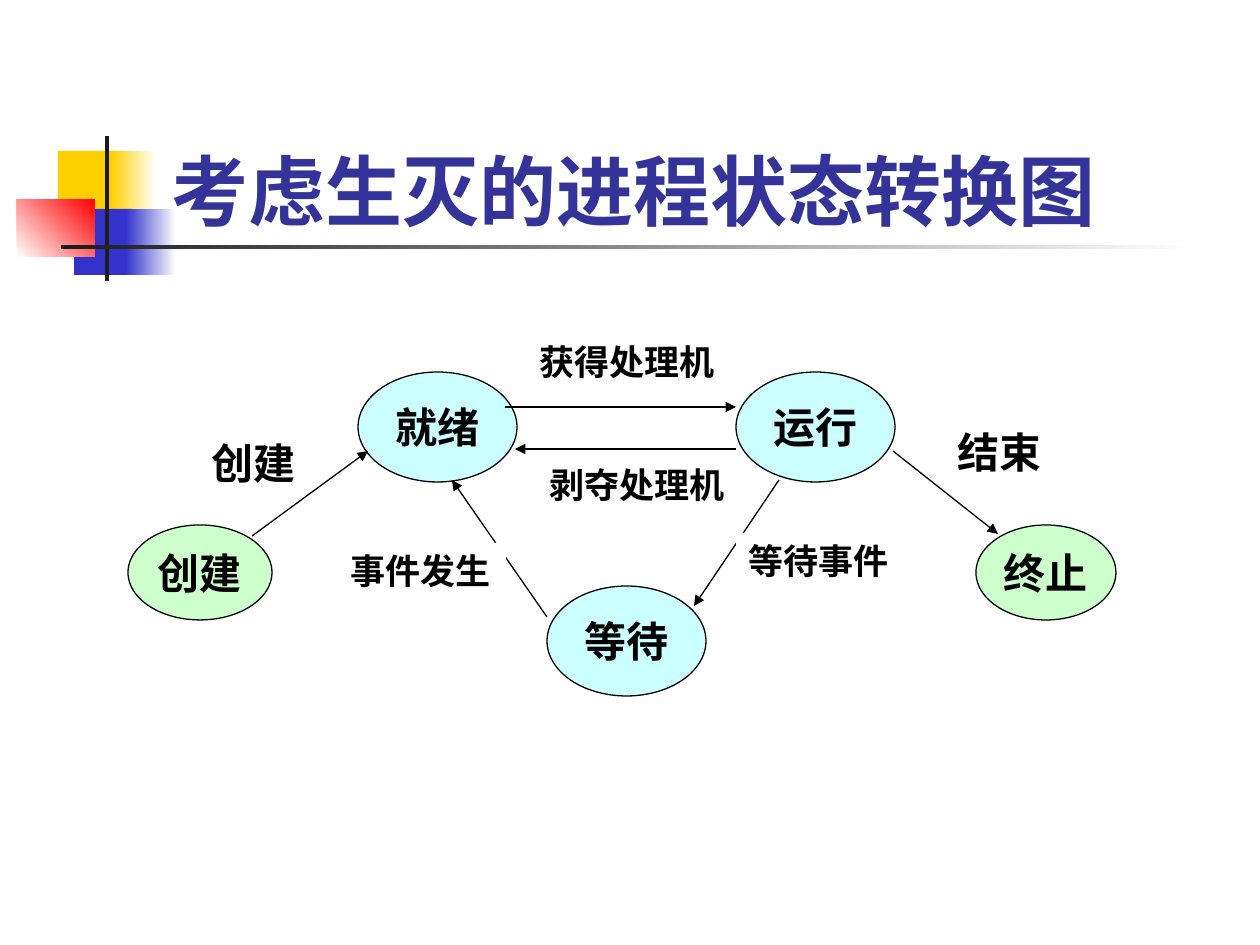
from pptx import Presentation
from pptx import util as u
from pptx.dml.color import RGBColor
from pptx.enum import shapes, text
from pptx.oxml.ns import qn
from lxml import etree

PX = u.Inches(1) / 126
WHITE = RGBColor(0xFF, 0xFF, 0xFF)
BLACK = RGBColor(0, 0, 0)
YELLOW = RGBColor(0xFF, 0xCF, 0x01)
BLUE = RGBColor(0x33, 0x33, 0xCC)
RED = RGBColor(0xFF, 0, 0)
CHARCOAL = RGBColor(0x1C, 0x1C, 0x1C)
NAVY = RGBColor(0x33, 0x33, 0x99)
CYAN = RGBColor(0xCC, 0xFF, 0xFF)
GREEN = RGBColor(0xCC, 0xFF, 0xCC)

# name, x, y, width, height, fill
STATES = [
    ("就绪", 230, 38, 159, 110, CYAN),
    ("等待", 419, 252, 159, 110, CYAN),
    ("运行", 608, 38, 159, 110, CYAN),
    ("创建", 0, 191, 144, 95, GREEN),
    ("终止", 848, 191, 140, 95, GREEN),
]
# start x, start y, end x, end y
TRANSITIONS = [
    (377, 73, 608, 73),
    (651, 146, 566, 272),
    (419, 283, 324, 146),
    (608, 115, 387, 115),
    (124, 202, 240, 117),
    (765, 117, 870, 200),
]
# label, x, y, width, height, size, fill
LABELS = [
    ("获得处理机", 399, 0, 210, 55, 20, WHITE),
    ("剥夺处理机", 409, 123, 210, 55, 20, WHITE),
    ("等待事件", 608, 199, 168, 55, 20, WHITE),
    ("事件发生", 210, 209, 168, 55, 20, WHITE),
    ("创建", 71, 97, 126, 63, 24, None),
    ("结束", 817, 86, 158, 63, 24, None),
]


def emu(*lengths):
    return [u.Emu(round(n * PX)) for n in lengths]


def write(tf, words, size, color=BLACK, font="Times New Roman"):
    p = tf.paragraphs[0]
    p.text = words
    p.font.name, p.font.size, p.font.bold = font, u.Pt(size), True
    p.font.color.rgb = color
    return p


def add_block(s, x, y, w, h, *colors, angle=0):
    """Borderless rectangle, solid for one colour and graded for two."""
    sp = s.shapes.add_shape(shapes.MSO_SHAPE.RECTANGLE, *emu(x, y, w, h))
    sp.shadow.inherit = False
    sp.line.fill.background()
    if len(colors) == 1:
        sp.fill.solid()
        sp.fill.fore_color.rgb = colors[0]
    else:
        sp.fill.gradient()
        sp.fill.gradient_angle = angle
        for stop, color in zip(sp.fill.gradient_stops, colors):
            stop.color.rgb = color


def add_ornament(s, x, y):
    add_block(s, x + 41, y + 15, 60, 66, YELLOW)
    add_block(s, x + 94, y + 15, 45, 66, YELLOW, WHITE)
    add_block(s, x + 57, y + 73, 58, 66, BLUE)
    add_block(s, x + 109, y + 73, 50, 66, BLUE, WHITE)
    add_block(s, x, y + 63, 78, 58, WHITE, RED, angle=45)
    add_block(s, x + 88, y, 4, 145, CHARCOAL)
    add_block(s, x + 44, y + 109, 1134, 4, CHARCOAL, WHITE)


def add_title(s, x, y, w, h):
    title = s.shapes.title
    title.left, title.top, title.width, title.height = emu(x, y, w, h)
    tf = title.text_frame
    tf.vertical_anchor = text.MSO_ANCHOR.BOTTOM
    p = write(tf, "考虑生灭的进程状态转换图", 44, NAVY, "Lato")
    p.alignment = text.PP_ALIGN.LEFT


def add_state(s, name, x, y, w, h, fill):
    sp = s.shapes.add_shape(shapes.MSO_SHAPE.OVAL, *emu(x, y, w, h))
    sp.shadow.inherit = False
    sp.fill.solid()
    sp.fill.fore_color.rgb = fill
    sp.line.color.rgb = BLACK
    sp.line.width = u.Pt(0.75)
    tf = sp.text_frame
    tf.word_wrap = False
    tf.vertical_anchor = text.MSO_ANCHOR.MIDDLE
    write(tf, name, 24).alignment = text.PP_ALIGN.CENTER


def add_arrow(s, x1, y1, x2, y2):
    line = s.shapes.add_connector(shapes.MSO_CONNECTOR.STRAIGHT, *emu(x1, y1, x2, y2))
    line.line.color.rgb = BLACK
    line.line.width = u.Pt(0.75)
    etree.SubElement(line.line._get_or_add_ln(), qn("a:tailEnd"), type="triangle")
    etree.SubElement(line._element.spPr, qn("a:effectLst"))


def add_label(s, words, x, y, w, h, size, fill):
    box = s.shapes.add_textbox(*emu(x, y, w, h))
    if fill is not None:
        box.fill.solid()
        box.fill.fore_color.rgb = fill
    box.text_frame.word_wrap = True
    write(box.text_frame, words, size)


def add_diagram(s, x, y):
    for name, dx, dy, *rest in STATES:
        add_state(s, name, x + dx, y + dy, *rest)
    for x1, y1, x2, y2 in TRANSITIONS:
        add_arrow(s, x + x1, y + y1, x + x2, y + y2)
    for words, dx, dy, *rest in LABELS:
        add_label(s, words, x + dx, y + dy, *rest)


def main():
    prs = Presentation()
    prs.slide_width, prs.slide_height = emu(1260, 945)
    s = prs.slides.add_slide(prs.slide_layouts[5])
    add_ornament(s, 17, 136)
    add_title(s, 159, 84, 1074, 158)
    add_diagram(s, 128, 334)
    prs.save("out.pptx")


if __name__ == "__main__":
    main()
